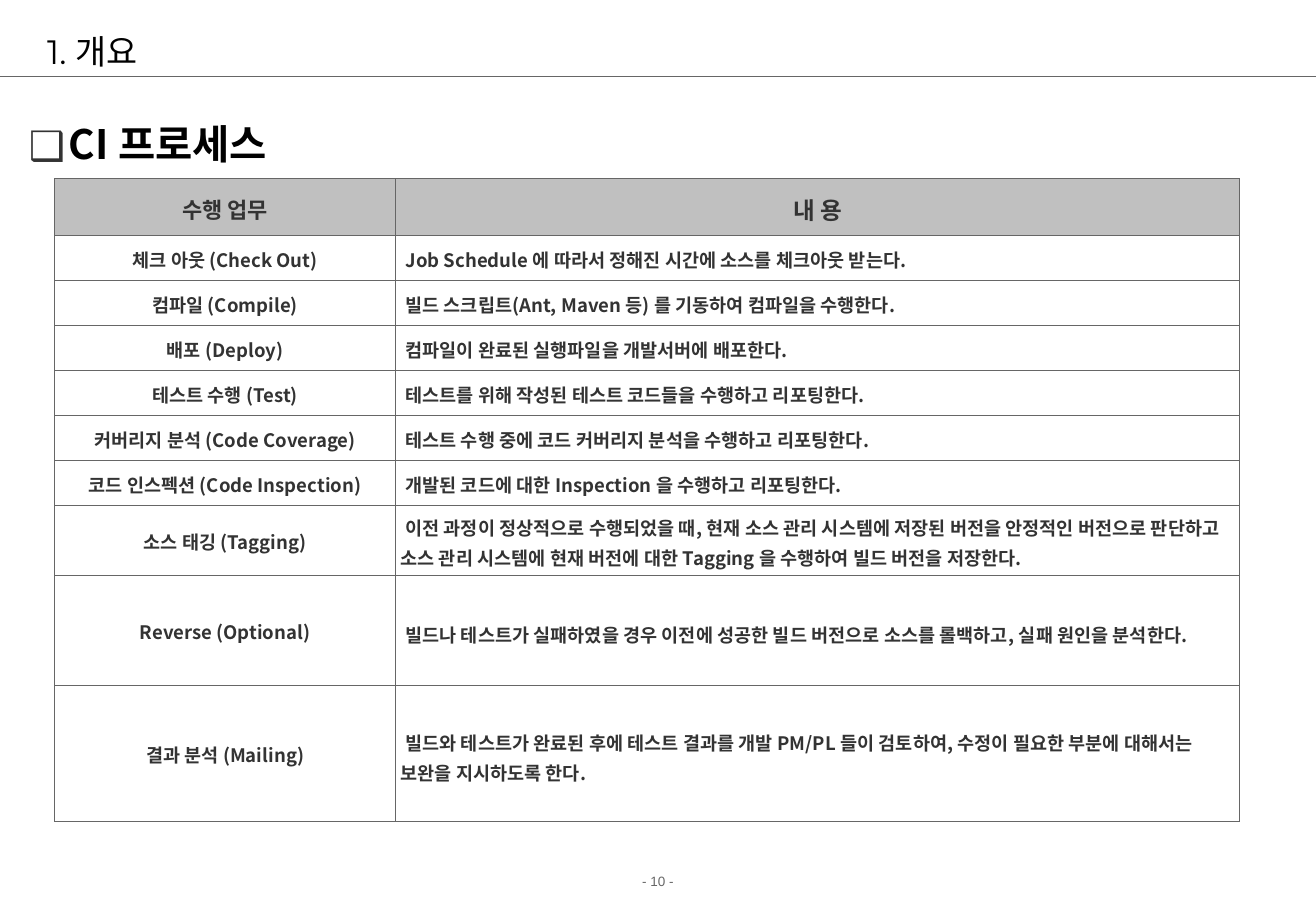
import pptx
import pptx.util
import pptx.dml.color
import pptx.enum.shapes
import pptx.enum.text
import pptx.oxml.ns
import pptx.oxml.xmlchemy

Inches = pptx.util.Inches
Pt = pptx.util.Pt
ALIGN = pptx.enum.text.PP_ALIGN
MIDDLE = pptx.enum.text.MSO_ANCHOR.MIDDLE
qn = pptx.oxml.ns.qn
SANS = "Noto Sans CJK KR"
INK, GREY, BAND = "333333", "666666", "C0C0C0"

COLS = [2.81, 6.95]
HIGH = [0.47] + [0.37] * 6 + [0.58, 0.9, 1.12]
TASKS = [
    ("수행 업무", "내 용"),
    ("체크 아웃 (Check Out)", "Job Schedule 에 따라서 정해진 시간에 소스를 체크아웃 받는다."),
    ("컴파일 (Compile)", "빌드 스크립트(Ant, Maven 등) 를 기동하여 컴파일을 수행한다."),
    ("배포 (Deploy)", "컴파일이 완료된 실행파일을 개발서버에 배포한다."),
    ("테스트 수행 (Test)", "테스트를 위해 작성된 테스트 코드들을 수행하고 리포팅한다."),
    ("커버리지 분석 (Code Coverage)", "테스트 수행 중에 코드 커버리지 분석을 수행하고 리포팅한다."),
    ("코드 인스펙션 (Code Inspection)", "개발된 코드에 대한 Inspection 을 수행하고 리포팅한다."),
    ("소스 태깅 (Tagging)",
     "이전 과정이 정상적으로 수행되었을 때, 현재 소스 관리 시스템에 저장된 버전을 안정적인 버전으로 "
     "판단하고 소스 관리 시스템에 현재 버전에 대한 Tagging 을 수행하여 빌드 버전을 저장한다."),
    ("Reverse (Optional)",
     "빌드나 테스트가 실패하였을 경우 이전에 성공한 빌드 버전으로 소스를 롤백하고, 실패 원인을 분석한다."),
    ("결과 분석 (Mailing)",
     "빌드와 테스트가 완료된 후에 테스트 결과를 개발 PM/PL 들이 검토하여, 수정이 필요한 부분에 대해서는 "
     "보완을 지시하도록 한다."),
]


def tint(code):
    return pptx.dml.color.RGBColor.from_string(code)


def apply(item, form):
    for name, value in form.items():
        setattr(item, name, value)


def element(tag, **attrs):
    node = pptx.oxml.xmlchemy.OxmlElement(tag)
    for name, value in attrs.items():
        node.set(name, str(value))
    return node


def write(para, text, size, color, face=SANS, bold=False, form={}):
    apply(para, form)
    run = para.add_run()
    run.text = text
    apply(run.font, {"size": Pt(size), "name": face, "bold": bold})
    run.font.color.rgb = tint(color)
    latin = run.font._element.find(qn("a:latin"))
    latin.addnext(element("a:ea", typeface=face))


def indent(para, left, first):
    props = para._p.get_or_add_pPr()
    props.set("marL", str(Inches(left)))
    props.set("indent", str(Inches(first)))
    return props


def bullet(para, mark, color):
    props = indent(para, 0.33, -0.33)
    paint = element("a:buClr")
    paint.append(element("a:srgbClr", val=color))
    props.append(paint)
    props.append(element("a:buFont", typeface=SANS))
    props.append(element("a:buChar", char=mark))


def label(slide, left, top, width, height, form={}):
    area = [Inches(n) for n in (left, top, width, height)]
    frame = slide.shapes.add_textbox(*area).text_frame
    apply(frame, {"word_wrap": True, **form})
    return frame.paragraphs[0]


def rule(slide, top, width):
    kind = pptx.enum.shapes.MSO_CONNECTOR.STRAIGHT
    line = slide.shapes.add_connector(kind, 0, Inches(top), Inches(width), Inches(top))
    line.line.color.rgb = tint(GREY)
    line.line.width = Pt(0.75)
    line._element.spPr.append(element("a:effectLst"))


def border(cell):
    props = cell._tc.get_or_add_tcPr()
    for spot, side in enumerate(("a:lnL", "a:lnR", "a:lnT", "a:lnB")):
        edge = element(side, w=Pt(0.34))
        fill = element("a:solidFill")
        fill.append(element("a:srgbClr", val=GREY))
        edge.append(fill)
        props.insert(spot, edge)


def fill_cell(cell, text, row, col):
    head = row == 0
    side = Inches(0.1 if head else 0.04)
    lower = col == 1 and row >= 8
    apply(cell, {
        "vertical_anchor": MIDDLE,
        "margin_left": side,
        "margin_right": side,
        "margin_top": Inches(0.1 if lower else 0.05),
        "margin_bottom": Inches(0.05),
    })
    if head:
        cell.fill.solid()
        cell.fill.fore_color.rgb = tint(BAND)
    else:
        cell.fill.background()
    border(cell)
    para = cell.text_frame.paragraphs[0]
    left = col == 1 and not head
    if left:
        indent(para, 0, 0.04)
    size = 13 + col if head else 11
    write(para, text, size, INK, bold=True, form={
        "alignment": ALIGN.LEFT if left else ALIGN.CENTER,
        "line_spacing": 1.1,
        "space_after": Pt(4 if head else 3.4),
    })


def grid(slide, left, top):
    area = [Inches(n) for n in (left, top, sum(COLS), sum(HIGH))]
    table = slide.shapes.add_table(len(HIGH), len(COLS), *area).table
    apply(table, {"first_row": False, "horz_banding": False})
    for col, width in zip(table.columns, COLS):
        col.width = Inches(width)
    for row, height in zip(table.rows, HIGH):
        row.height = Inches(height)
    for row, texts in enumerate(TASKS):
        for col, text in enumerate(texts):
            fill_cell(table.cell(row, col), text, row, col)


def main():
    deck = pptx.Presentation()
    apply(deck, {"slide_width": Inches(10.84), "slide_height": Inches(7.5)})
    slide = deck.slides.add_slide(deck.slide_layouts[6])
    rule(slide, 0.63, 10.84)
    title = label(slide, 0.29, 0.21, 10.17, 0.42, {"vertical_anchor": MIDDLE})
    write(title, "1. 개요", 20, "000000", "Montserrat")
    topic = label(slide, 0.14, 0.73, 10.6, 0.7)
    bullet(topic, "❑", INK)
    write(topic, "CI 프로세스", 24, "000000", bold=True, form={"line_spacing": 1.5})
    grid(slide, 0.45, 1.47)
    page = label(slide, 0, 7.14, 10.84, 0.24)
    write(page, "- 10 -", 8, GREY, "Arial", form={"alignment": ALIGN.CENTER})
    deck.save("out.pptx")


if __name__ == "__main__":
    main()
